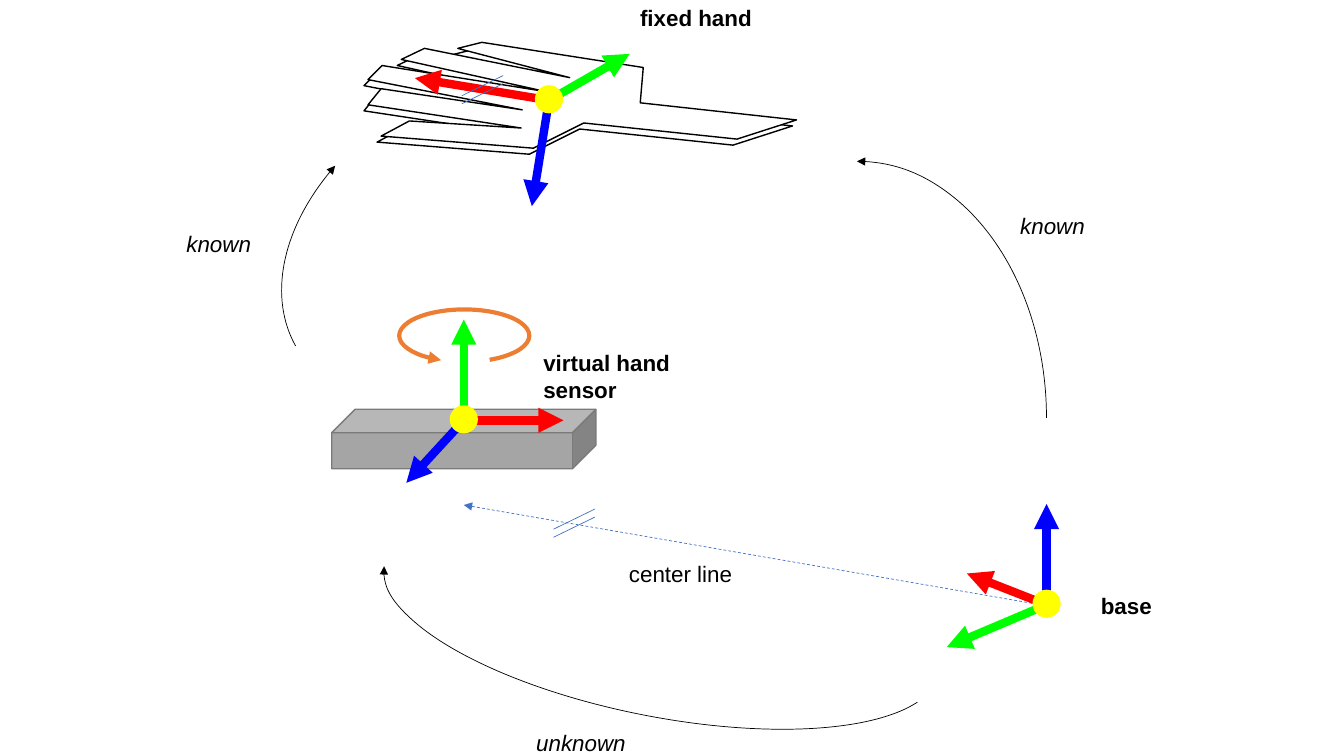
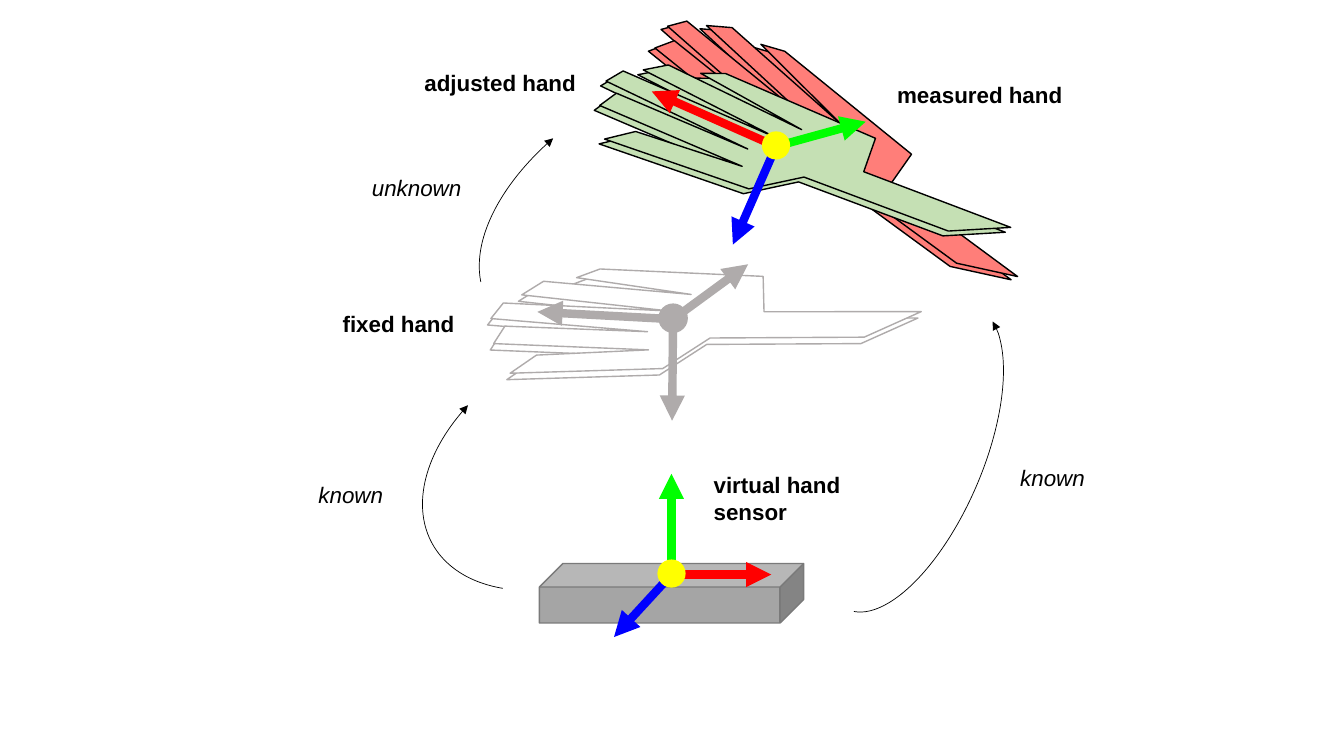
from dataclasses import dataclass
from math import cos, radians, sin

from lxml import etree
from pptx import Presentation
from pptx.dml.color import RGBColor
from pptx.enum import dml, shapes, text
from pptx.oxml.ns import qn
from pptx.util import Inches, Pt


@dataclass(frozen=True)
class Theme:
    font: str = "Arial"
    size: float = 16
    thin: float = 0.5
    edge: float = 1
    turn: float = 3
    axis: float = 6
    black: str = "000000"
    white: str = "FFFFFF"
    red: str = "FF0000"
    green: str = "00FF00"
    blue: str = "0000FF"
    yellow: str = "FFFF00"
    orange: str = "ED7D31"
    guide: str = "4472C4"
    block: str = "A5A5A5"
    rim: str = "7A7A7A"
    pale: str = "AFABAB"
    rose: str = "FF7E79"
    leaf: str = "C5E0B4"


THEME = Theme()
AXES = (THEME.red, THEME.green, THEME.blue)
PALM = (4.25, 1.05)
HAND = [
    (3.66, 0.96), (2.14, 0.8), (1.64, 1.05), (0.13, 0.93), (0.41, 0.78),
    (1.52, 0.85), (0, 0.62), (0.13, 0.46), (1.53, 0.67), (0, 0.37),
    (0.14, 0.23), (1.77, 0.49), (0.33, 0.17), (0.56, 0.06), (2, 0.35),
    (0.89, 0.06), (1.13, 0), (2.73, 0.25), (2.7, 0.6), (4.25, 0.77),
]


def spin(point, angle):
    x, y = point
    c, s = cos(radians(angle)), sin(radians(angle))
    return x * c - y * s, x * s + y * c


def shift(point, step):
    return point[0] + step[0], point[1] + step[1]


class Sketch:
    def __init__(self, theme):
        self.theme = theme
        self.deck = Presentation()
        self.deck.slide_width = Inches(13.33)
        self.deck.slide_height = Inches(7.5)

    def page(self):
        self.slide = self.deck.slides.add_slide(self.deck.slide_layouts[6])
        self.root = self.slide.shapes

    def group(self):
        return self.root.add_group_shape().shapes

    def paint(self, shape, fill=None, line=None, width=1):
        shape.shadow.inherit = False
        if fill:
            shape.fill.solid()
            shape.fill.fore_color.rgb = RGBColor.from_string(fill)
        else:
            shape.fill.background()
        if line:
            self.pen(shape, line, width)
        else:
            shape.line.fill.background()

    def pen(self, shape, color, width):
        shape.line.color.rgb = RGBColor.from_string(color)
        shape.line.width = Pt(width)

    def tip(self, shape, end):
        pen = shape.element.spPr.find(qn("a:ln"))
        etree.SubElement(pen, qn(f"a:{end}End"), type="triangle")

    def line(self, start, stop, color, width, arrow=False, dash=False, into=None):
        ends = [Inches(v) for v in (*start, *stop)]
        home = self.root if into is None else into
        wire = home.add_connector(shapes.MSO_CONNECTOR.STRAIGHT, *ends)
        self.pen(wire, color, width)
        if dash:
            wire.line.dash_style = dml.MSO_LINE.DASH
        if arrow:
            self.tip(wire, "tail")
        etree.SubElement(wire.element.spPr, qn("a:effectLst"))

    def label(self, x, y, width, words, bold=False, italic=False, center=False):
        box = self.root.add_textbox(Inches(x), Inches(y), Inches(width), Inches(0.37))
        frame = box.text_frame
        frame.text = words
        frame.word_wrap = False
        frame.auto_size = text.MSO_AUTO_SIZE.SHAPE_TO_FIT_TEXT
        frame.vertical_anchor = text.MSO_ANCHOR.MIDDLE
        para = frame.paragraphs[0]
        if center:
            para.alignment = text.PP_ALIGN.CENTER
        font = para.runs[0].font
        font.name, font.size = self.theme.font, Pt(self.theme.size)
        font.bold, font.italic = bold, italic
        font.color.rgb = RGBColor.from_string(self.theme.black)

    def arc(self, box, sweep=(162, 0), end="head", rot=0, flip=False, color=None, width=None):
        curve = self.root.add_shape(shapes.MSO_SHAPE.ARC, *[Inches(v) for v in box])
        curve.adjustments[0], curve.adjustments[1] = sweep
        curve.rotation = rot
        if flip:
            curve.element.spPr.find(qn("a:xfrm")).set("flipV", "1")
        self.paint(curve, None, color or self.theme.black, width or self.theme.thin)
        self.tip(curve, end)

    def axes(self, home, origin, steps, colors=AXES, dot=None, rim=None):
        for step, color in zip(steps, colors):
            self.line(origin, shift(origin, step), color, self.theme.axis, True, into=home)
        x, y = shift(origin, (-0.14, -0.15))
        ball = home.add_shape(
            shapes.MSO_SHAPE.OVAL, Inches(x), Inches(y), Inches(0.28), Inches(0.28))
        self.paint(ball, dot or self.theme.yellow, rim, self.theme.edge)

    def sensor(self, x, y):
        home = self.group()
        cube = home.add_shape(
            shapes.MSO_SHAPE.CUBE, Inches(x), Inches(y), Inches(2.62), Inches(0.59))
        cube.adjustments[0] = 0.395
        self.paint(cube, self.theme.block, self.theme.rim, self.theme.edge)
        self.axes(home, (x + 1.31, y + 0.11), [(0.99, 0), (0, -1), (-0.57, 0.62)])

    def hand(self, x, y, rot=0, fill=None, line=None, axes=True,
             down=(-0.17, 1.05), **look):
        home = self.group()
        for step in ((0, 0), (0.04, -0.06)):
            corner = shift((x, y), spin(step, rot))
            first, *rest = [
                tuple(Inches(v) for v in shift(corner, point)) for point in HAND]
            pen = home.build_freeform(*first)
            pen.add_line_segments(rest, close=True)
            palm = pen.convert_to_shape()
            palm.rotation = rot
            self.paint(palm, fill or self.theme.white, line or self.theme.black,
                       self.theme.edge)
        if axes:
            middle = (x + PALM[0] / 2, y + PALM[1] / 2)
            origin = shift(middle, spin((-0.29, -0.01), rot))
            steps = [spin(s, rot) for s in ((-1.33, -0.22), (0.8, -0.46), down)]
            self.axes(home, origin, steps, **look)

    def ticks(self, x, y):
        for drop in (0, 0.08):
            self.line((x, y + drop), (x + 0.41, y + drop - 0.2),
                      self.theme.guide, self.theme.thin)


def setup(art):
    art.page()
    art.sensor(3.29, 4.06)
    art.line((10.38, 6.01), (4.6, 5.01), THEME.guide, THEME.thin, True, True)
    art.axes(art.group(), (10.38, 6), [(-0.79, -0.31), (-0.99, 0.42), (0, -1)])
    art.arc((3.96, 3.07, 1.29, 0.52), (80.01, 26.1), color=THEME.orange, width=THEME.turn)
    art.hand(3.61, 0.48)
    art.ticks(4.58, 0.95)
    art.ticks(5.49, 5.25)
    art.arc((6.62, 1.6, 3.76, 5.09))
    art.arc((3.76, 5.17, 5.61, 1.94), (108.21, 211.83), rot=11.1, flip=True)
    art.arc((3.36, 0.07, 3.09, 4.52), (162, 193.59), "tail", 240.8)
    art.label(10.82, 5.82, 0.71, "base", bold=True)
    art.label(5.29, 3.55, 2.2, "virtual hand sensor", bold=True)
    art.label(6.25, -0.01, 1.32, "fixed hand", bold=True)
    art.label(6.14, 5.51, 1.24, "center line")
    art.label(10.02, 2.05, 0.85, "known", italic=True)
    art.label(1.75, 2.23, 0.85, "known", italic=True)
    art.label(5.22, 7.18, 1.1, "unknown", italic=True)


def adjust(art):
    art.page()
    art.sensor(5.35, 5.59)
    art.hand(4.84, 2.62, -6.3, line=THEME.pale, down=(-0.12, 1),
             colors=(THEME.pale,) * 3, dot=THEME.pale, rim=THEME.pale)
    art.hand(6.19, 0.97, 30.2, THEME.rose, axes=False)
    art.hand(5.85, 1.01, 14.5, THEME.leaf)
    art.arc((8.36, 2.92, 1.38, 3.26), (166.28, 52.67), rot=23.2)
    art.arc((4.68, 2.77, 2.3, 3.53), (145.29, 193.59), "tail", 240.8)
    art.arc((5.47, -0.08, 2.36, 4.14), (165.59, 196.31), "tail", 240.8)
    art.label(6.98, 4.76, 2.2, "virtual hand sensor", bold=True)
    art.label(3.3, 3.03, 1.32, "fixed hand", bold=True)
    art.label(4.1, 0.63, 1.72, "adjusted hand", bold=True, center=True)
    art.label(8.8, 0.75, 1.86, "measured hand", bold=True)
    art.label(10.02, 4.55, 0.85, "known", italic=True)
    art.label(3.06, 4.72, 0.85, "known", italic=True)
    art.label(3.59, 1.68, 1.1, "unknown", italic=True)


def main():
    art = Sketch(THEME)
    setup(art)
    adjust(art)
    art.deck.save("out.pptx")


if __name__ == "__main__":
    main()
